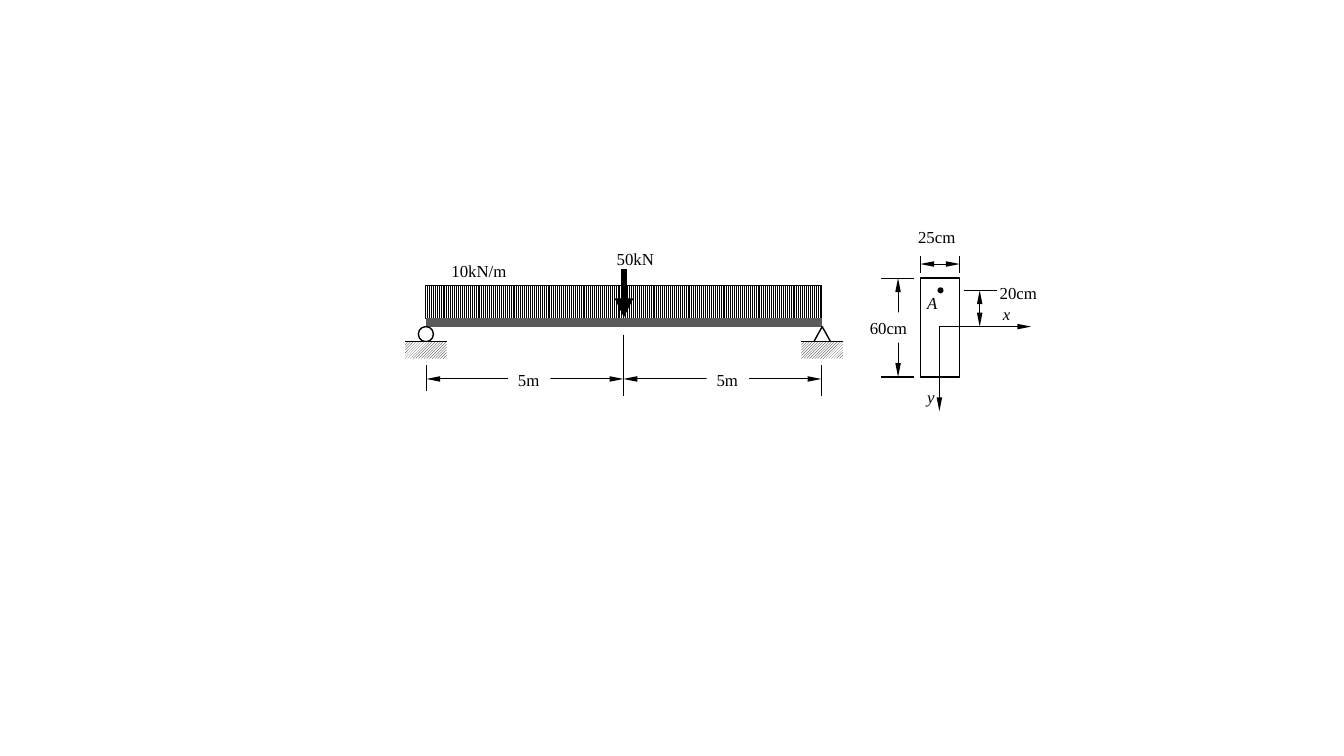
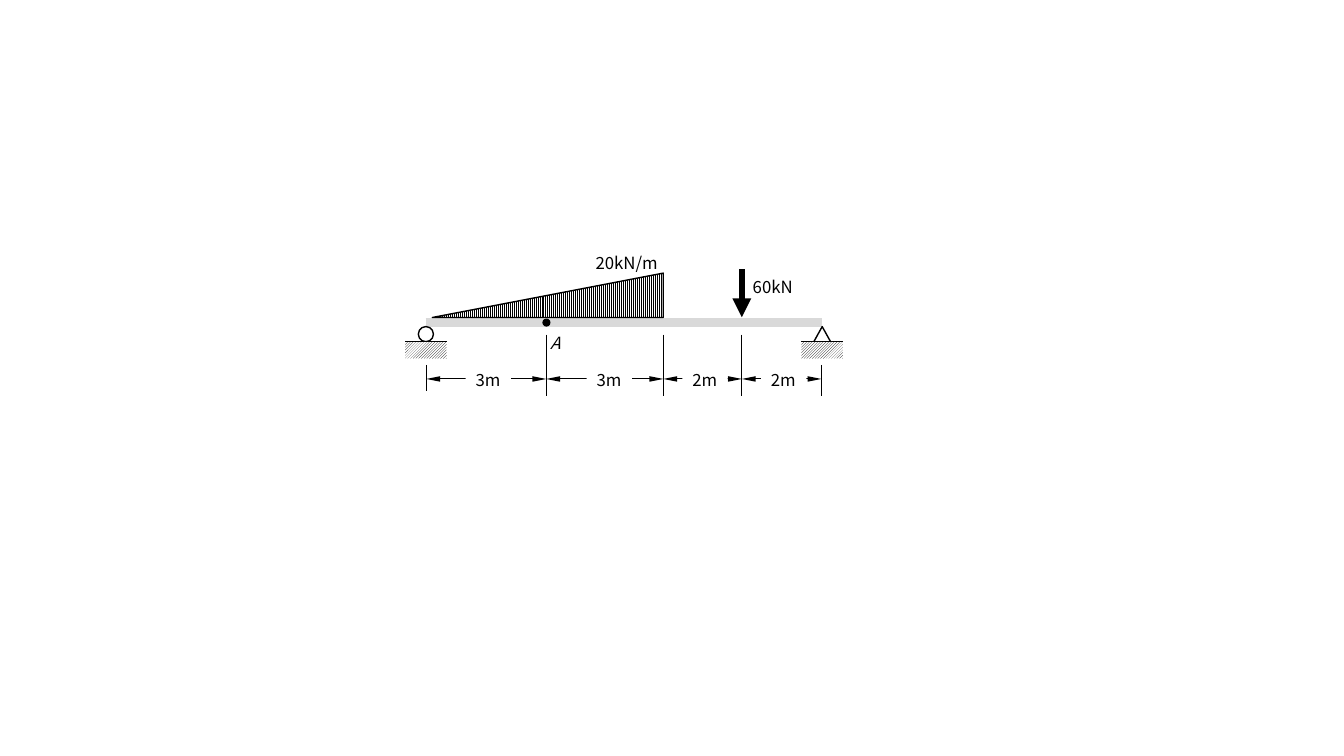
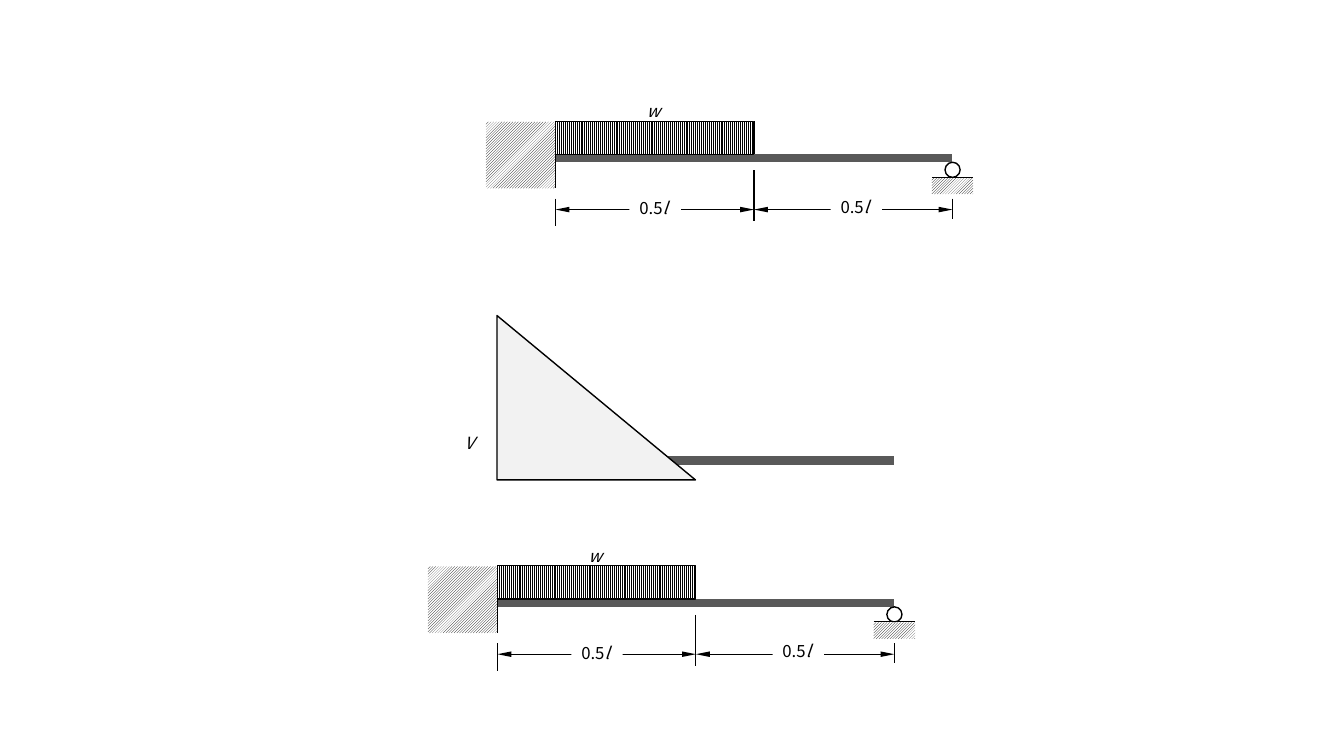
from lxml import etree
from pptx import Presentation
from pptx.dml import color
from pptx.enum import dml, shapes, text
from pptx.oxml import ns
from pptx.util import Pt

BLACK, WHITE = "000000", "FFFFFF"
DARK_GREY, LIGHT_GREY, PALE_GREY = "595959", "D9D9D9", "F2F2F2"
THIN, OUTLINE, FORCE, BEAM = 0.75, 1, 4.5, 6
SLIM_HEAD = {"type": "triangle", "w": "sm", "len": "lg"}
BROAD_HEAD = {"type": "triangle", "w": "med", "len": "med"}
STRIPES = dml.MSO_PATTERN.LIGHT_VERTICAL
HATCH = dml.MSO_PATTERN.LIGHT_UPWARD_DIAGONAL
KIND = shapes.MSO_SHAPE


def rgb(value):
    return color.RGBColor.from_string(value)


def lengths(*values):
    return [Pt(value) for value in values]


def apply(target, values):
    for name, value in values.items():
        setattr(target, name, value)


class Diagram:
    """Style and current slide of the beam drawings; all lengths in points."""

    def __init__(self):
        self.presentation = Presentation()
        apply(self.presentation, {"slide_width": Pt(960), "slide_height": Pt(540)})
        self.slide = None
        self.font = None

    def new_slide(self, font):
        self.slide = self.presentation.slides.add_slide(self.presentation.slide_layouts[6])
        self.font = font

    # Basic elements
    def line(self, x1, y1, x2, y2, width=THIN, tint=BLACK, head=None, tail=None):
        connector = self.slide.shapes.add_connector(
            shapes.MSO_CONNECTOR.STRAIGHT, *lengths(x1, y1, x2, y2))
        connector.line.width = Pt(width)
        connector.line.color.rgb = rgb(tint)
        properties = connector._element.spPr
        outline = properties.find(ns.qn("a:ln"))
        for tag, arrow in (("a:headEnd", head), ("a:tailEnd", tail)):
            if arrow:
                etree.SubElement(outline, ns.qn(tag), arrow)
        etree.SubElement(properties, ns.qn("a:effectLst"))

    def shape(self, kind, x, y, width, height, fill=None, pattern=None, outline=None, flip=False):
        shape = self.slide.shapes.add_shape(kind, *lengths(x, y, width, height))
        shape.shadow.inherit = False
        if pattern:
            shape.fill.patterned()
            shape.fill.pattern = pattern
            shape.fill.fore_color.rgb = rgb(BLACK)
            shape.fill.back_color.rgb = rgb(WHITE)
        elif fill:
            shape.fill.solid()
            shape.fill.fore_color.rgb = rgb(fill)
        else:
            shape.fill.background()
        if outline:
            shape.line.width = Pt(outline)
            shape.line.color.rgb = rgb(BLACK)
        else:
            shape.line.fill.background()
        if flip:
            shape._element.spPr.xfrm.set("flipH", "1")

    def label(self, x, y, width, upright="", italic="", fill=None, wrap=False):
        box = self.slide.shapes.add_textbox(*lengths(x, y, width, 21.6))
        if fill:
            box.fill.solid()
            box.fill.fore_color.rgb = rgb(fill)
        apply(box.text_frame, {"word_wrap": wrap,
                               "auto_size": text.MSO_AUTO_SIZE.SHAPE_TO_FIT_TEXT})
        paragraph = box.text_frame.paragraphs[0]
        for words, slanted in ((upright, None), (italic, True)):
            if words:
                run = paragraph.add_run()
                run.text = words
                apply(run.font, {"name": self.font, "size": Pt(12), "italic": slanted})
                run.font.color.rgb = rgb(BLACK)

    def dot(self, x, y, size):
        self.shape(KIND.OVAL, x - size / 2, y - size / 2, size, size, fill=BLACK)

    # Beam parts, placed from the beam's centre line y
    def beam(self, x, y, tint=DARK_GREY):
        self.line(x, y, x + 283.5, y, BEAM, tint)

    def ground(self, x, y):
        self.shape(KIND.RECTANGLE, x - 14.8, y + 14, 29.6, 11.7, pattern=HATCH)
        self.line(x - 14.8, y + 13.7, x + 14.8, y + 13.7)

    def roller(self, x, y):
        self.shape(KIND.OVAL, x - 5.4, y + 2.9, 10.8, 10.8, fill=WHITE, outline=OUTLINE)
        self.ground(x, y)

    def pin(self, x, y):
        self.shape(KIND.ISOSCELES_TRIANGLE, x - 6, y + 2.9, 12, 10.8, fill=WHITE, outline=OUTLINE)
        self.ground(x, y)

    def uniform_load(self, x, y, width):
        self.shape(KIND.RECTANGLE, x, y - 26.5, width, 23.8, pattern=STRIPES, outline=THIN)

    def point_load(self, x, y):
        self.line(x, y - 38.2, x, y - 3.8, FORCE, tail=BROAD_HEAD)

    # Dimensions
    def measure(self, x1, y1, x2, y2):
        self.line(x1, y1, x2, y2, head=SLIM_HEAD, tail=SLIM_HEAD)

    def dimension_chain(self, y, drop, outer_top, stops, ends):
        """Ticks at each stop, reaching down to the matching end; arrows between."""
        last = len(stops) - 1
        for index, (x, end) in enumerate(zip(stops, ends)):
            top = outer_top if index in (0, last) else 8.6
            self.line(x, y + top, x, y + end)
        for left, right in zip(stops, stops[1:]):
            self.measure(left, y + drop, right, y + drop)

    # Beam fixed at the left, loaded on its left half
    def propped_cantilever(self, x, y):
        half = 141.8
        self.beam(x, y)
        self.shape(KIND.RECTANGLE, x - 49.7, y - 26, 49.7, 47.6, pattern=HATCH)
        self.line(x, y - 26, x, y + 21.6)
        self.dimension_chain(y, 36.7, 28.8, [x, x + half, x + 2 * half], [48.5, 45, 43.2])
        for offset, top in ((52.8, 24.8), (196.5, 23.7)):
            self.label(x + offset, y + top, 36.7, "0.5", "l", fill=WHITE)
        self.roller(x + 2 * half, y)
        self.uniform_load(x, y, half)
        self.label(x + 58, y - 44.6, 24.5, italic="w")


def draw_simple_beam(diagram):
    diagram.new_slide("Times New Roman")
    y = 230.4
    diagram.uniform_load(303.8, y, 283)
    diagram.beam(304, y)
    diagram.roller(304.2, y)
    diagram.pin(587.3, y)
    diagram.dimension_chain(y, 40.3, 30.2, [304.5, 445.3, 586.8], [49, 52.6, 52.6])
    for x in (362.9, 504.7):
        diagram.label(x, 260.6, 30.2, "5m", fill=WHITE)
    diagram.label(433.4, 174.2, 41.8, "50kN")
    diagram.label(315.4, 182.9, 54, "10kN/m")
    diagram.point_load(445.7, y)

    # Cross-section with its height and width
    left, right, top, bottom = 657.4, 685.5, 198.7, 269.3
    diagram.shape(KIND.RECTANGLE, left, top, right - left, bottom - top, outline=OUTLINE)
    diagram.measure(641.5, top, 641.5, bottom)
    for edge in (top, bottom):
        diagram.line(629.3, edge, 653, edge)
    diagram.label(614.2, 223.2, 41.8, "60cm", fill=WHITE, wrap=True)
    diagram.measure(left, 188.6, right, 188.6)
    for edge in (left, right):
        diagram.line(edge, 182.9, edge, 195.1)
    diagram.label(648.7, 158.4, 58.3, "25cm", fill=WHITE, wrap=True)

    # Axes
    origin_x, origin_y = 671, 233.3
    diagram.line(origin_x, origin_y, origin_x, 293.8, tail=SLIM_HEAD)
    diagram.line(origin_x, origin_y, 736.6, origin_y, tail=SLIM_HEAD)
    diagram.label(709.2, 213.1, 20.2, italic="x")
    diagram.label(655.2, 272.9, 20.2, italic="y")

    # Point A and its distance from the axis
    diagram.label(707, 198.7, 58.3, "20cm", fill=WHITE, wrap=True)
    diagram.measure(699.8, 207.4, 699.8, origin_y)
    diagram.line(688.3, 207.4, 712.1, 207.4)
    diagram.dot(671.8, 207.4, 4.3)
    diagram.label(655.2, 205.9, 22.3, italic="A")


def draw_triangular_load(diagram):
    diagram.new_slide("Noto Sans CJK KR")
    y = 230.4
    diagram.beam(304, y, LIGHT_GREY)
    diagram.roller(304.2, y)
    diagram.pin(587.3, y)
    stops = [304.5, 390.2, 473.8, 529.9, 586.8]
    diagram.dimension_chain(y, 40.3, 30.2, stops, [49] + [52.6] * 4)
    for x, length in ((332.6, "3m"), (419, "3m"), (487.4, "2m"), (543.6, "2m")):
        diagram.label(x, 260.6, 32.4, length, fill=WHITE)
    diagram.label(418.3, 177.1, 61.2, "20kN/m")
    diagram.label(530.6, 194.4, 44.6, "60kN")
    diagram.point_load(529.9, y)
    diagram.shape(KIND.RIGHT_TRIANGLE, 308.9, 195.1, 164.9, 31.7,
                  pattern=STRIPES, outline=OUTLINE, flip=True)
    diagram.label(385.9, 234, 22.3, italic="A", wrap=True)
    diagram.dot(390.3, y, 5.8)


def draw_cantilevers(diagram):
    diagram.new_slide("Noto Sans CJK KR")
    diagram.propped_cantilever(396.8, 113)

    # Shear diagram
    diagram.beam(355.1, 329)
    diagram.label(324.7, 305.3, 23.8, italic="V")
    diagram.propped_cantilever(355.3, 430.6)
    diagram.shape(KIND.RIGHT_TRIANGLE, 355, 225.4, 141.8, 117.4, fill=PALE_GREY, outline=OUTLINE)


def main():
    diagram = Diagram()
    draw_simple_beam(diagram)
    draw_triangular_load(diagram)
    draw_cantilevers(diagram)
    diagram.presentation.save("out.pptx")


if __name__ == "__main__":
    main()
